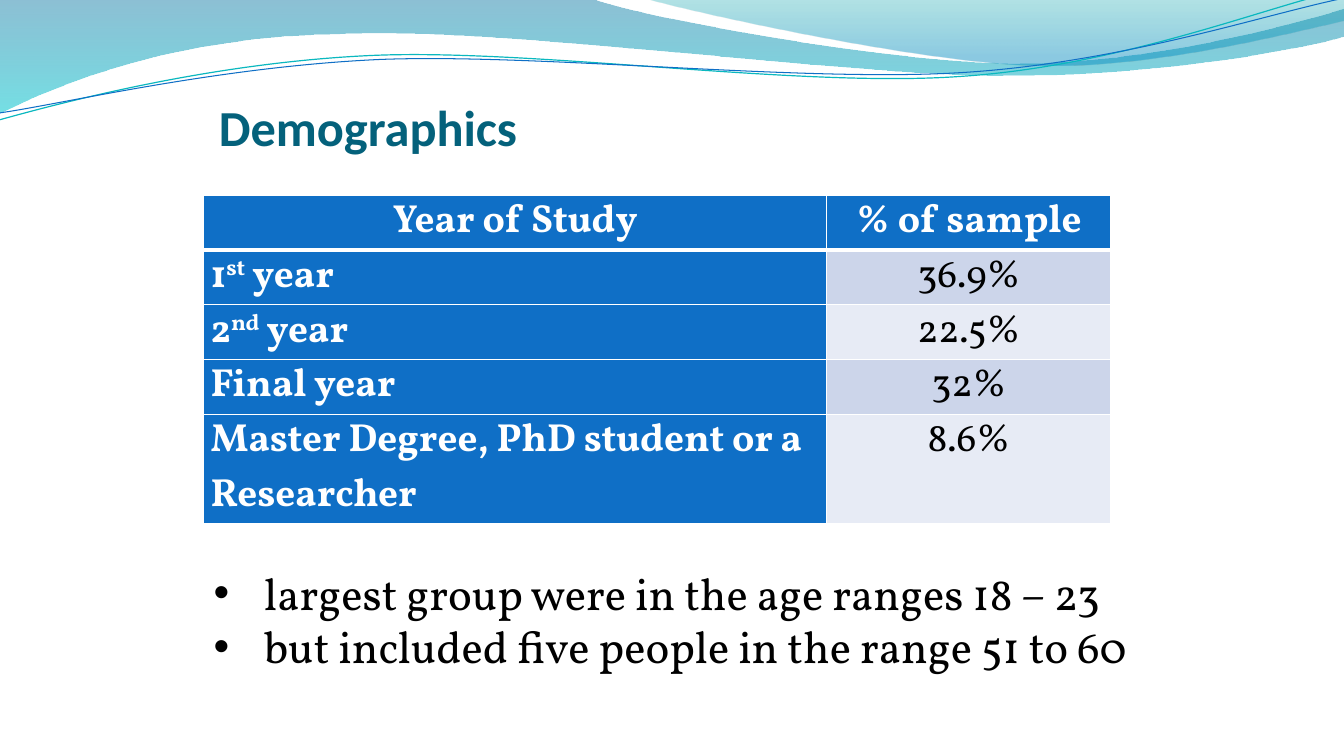
from lxml.etree import SubElement
from pptx import Presentation
from pptx.dml.color import RGBColor as RGB
from pptx.enum.text import MSO_ANCHOR as Anchor, MSO_AUTO_SIZE as Auto
from pptx.enum.text import PP_ALIGN as Align
from pptx.oxml import parse_xml as to_xml
from pptx.oxml.ns import qn
from pptx.util import Inches, Pt

# Grid: one-inch columns and rows
COLS, ROWS = 13.33, 7.5
WIDE, HIGH = Inches(COLS), Inches(ROWS)
NS = "http://schemas.openxmlformats.org/drawingml/2006/main"

INK = {
    "blue": "0F6FC6", "teal": "0AB8BF", "title": "04617B",
    "white": "FFFFFF", "black": "000000",
    "band": "CCD5EA", "pale": "E7EBF5",
    "sea": "0074A1", "cyan": "00C6CF", "green": "00A1A9", "sky": "008BBF",
}

HEAD = {"name": "Calibri", "size": Pt(36), "bold": True}
BOLD = {"name": "Vollkorn", "size": Pt(28), "bold": True}
CELL = {"name": "Vollkorn", "size": Pt(28), "bold": False}
BODY = {"name": "Vollkorn", "size": Pt(32), "bold": False}

# Waves: (start, segments, gradient stops); one point is straight, three bend
WAVES = [
    ((0, 0), [
        [(5.87, -0.01)],
        [(6.34, 0.17), (8.85, 0.63), (10.11, 0.63)],
        [(11.38, 0.63), (12.78, 0.26), (13.33, 0.09)],
        [(13.35, 0.36)],
        [(13.11, 0.44), (11.6, 0.76), (9.94, 0.75)],
        [(8.29, 0.75), (5.09, 0.28), (3.43, 0.34)],
        [(1.72, 0.36), (0.61, 0.83), (-0.01, 1.13)],
        [(0, 0)],
    ], [(0, "sea", 45), (1, "cyan", 55)]),
    ((6.39, -0.01), [
        [(6.79, 0.11), (9.09, 0.62), (10.25, 0.65)],
        [(11.41, 0.69), (12.82, 0.32), (13.33, 0.21)],
        [(13.33, 0)],
        [(6.39, -0.01)],
    ], [(0, "green", 30), (0.8, "sky", 45)]),
]

# Thin lines: (start, segments, colour, width)
LINES = [
    ((-0.01, 1.19), [
        [(0.64, 1.01), (2.11, 0.62), (3.69, 0.55)],
        [(5.27, 0.48), (7.9, 0.87), (9.5, 0.76)],
        [(11.1, 0.66), (12.52, 0.08), (13.31, -0.1)],
    ], "teal", 0.85),
    ((0, 1.12), [
        [(0.63, 1.03), (2.18, 0.66), (3.78, 0.59)],
        [(5.37, 0.53), (7.96, 0.82), (9.55, 0.72)],
        [(11.15, 0.62), (12.55, 0.14), (13.34, -0.02)],
    ], "blue", 0.75),
]

# Each label is a list of (text, raised) runs
TABLE = [
    ([("Year of Study", 0)], "% of sample"),
    ([("1", 0), ("st", 1), (" year", 0)], "36.9%"),
    ([("2", 0), ("nd", 1), (" year", 0)], "22.5%"),
    ([("Final year", 0)], "32%"),
    ([("Master Degree, PhD student or a Researcher", 0)], "8.6%"),
]
NOTES = [
    "largest group were in the age ranges 18 – 23",
    "but included five people in the range 51 to 60",
]


def tint(key):
    return RGB.from_string(INK[key])


def at(x, y):
    return round(WIDE * x / COLS), round(HIGH * y / ROWS)


def box(x, y, w, h):
    return *at(x, y), *at(w, h)


def put(obj, form):
    for key, val in form.items():
        setattr(obj, key, val)


def write(para, text, form, ink, up=False):
    run = para.add_run()
    run.text = text
    put(run.font, form)
    run.font.color.rgb = tint(ink)
    if up:
        run.font._element.set("baseline", "30000")


def trace(slide, start, segs, close):
    """Outline whose three-point segments become cubic curves."""
    pen = slide.shapes.build_freeform(*at(*start), scale=1.0)
    pen.add_line_segments([at(*dot) for seg in segs for dot in seg], close)
    shape = pen.convert_to_shape()
    shape.shadow.inherit = False
    steps = iter(shape._element.spPr.findall(".//" + qn("a:lnTo")))
    for seg in segs:
        first, *rest = [next(steps) for _ in seg]
        if rest:
            first.tag = qn("a:cubicBezTo")
        for step in rest:
            first.append(step[0])
            step.getparent().remove(step)
    return shape


def wave(slide, start, segs, stops):
    shape = trace(slide, start, segs, True)
    shape.line.fill.background()
    shape.fill.gradient()
    shape.fill.gradient_angle = 270
    for stop, (pos, ink, _) in zip(shape.fill.gradient_stops, stops):
        stop.position = pos
        stop.color.rgb = tint(ink)
    tags = shape._element.spPr.findall(".//" + qn("a:srgbClr"))
    for tag, (*_, part) in zip(tags, stops):
        SubElement(tag, qn("a:alpha")).set("val", str(part * 1000))


def line(slide, start, segs, ink, size):
    shape = trace(slide, start, segs, False)
    shape.fill.background()
    shape.line.color.rgb = tint(ink)
    shape.line.width = Pt(size)


def edge(cell, sizes):
    props = cell._tc.get_or_add_tcPr()
    for n, (side, size) in enumerate(sizes.items()):
        props.insert(n, to_xml(
            f'<a:ln{side} xmlns:a="{NS}" w="{Pt(size)}"><a:solidFill>'
            f'<a:srgbClr val="{INK["white"]}"/></a:solidFill></a:ln{side}>'))


def fill(cell, runs, form, ink, back, align, sizes):
    put(cell, {"margin_left": Inches(0.07), "margin_right": Inches(0.07),
               "margin_top": 0, "margin_bottom": 0})
    cell.fill.solid()
    cell.fill.fore_color.rgb = tint(back)
    para = cell.text_frame.paragraphs[0]
    para.alignment = align
    for text, up in runs:
        write(para, text, form, ink, up)
    edge(cell, sizes)


def table(slide, spot, cols, rows):
    grid = slide.shapes.add_table(len(TABLE), len(cols), *box(*spot)).table
    for col, wide in zip(grid.columns, cols):
        col.width = at(wide, 0)[0]
    for n, (label, share) in enumerate(TABLE):
        grid.rows[n].height = at(0, rows[n])[1]
        top = n == 0
        sizes = {"L": 1, "R": 1, "T": 3 if n == 1 else 1,
                 "B": 3 if top else 1}
        fill(grid.cell(n, 0), label, BOLD, "white", "blue",
             Align.CENTER if top else Align.LEFT, sizes)
        look = ((BOLD, "white", "blue") if top
                else (CELL, "black", "band" if n % 2 else "pale"))
        fill(grid.cell(n, 1), [(share, 0)], *look, Align.CENTER, sizes)


def title(slide, spot, text):
    frame = slide.shapes.add_textbox(*box(*spot)).text_frame
    put(frame, {"word_wrap": True, "vertical_anchor": Anchor.BOTTOM,
                "margin_left": 0, "margin_right": 0, "margin_bottom": 0})
    write(frame.paragraphs[0], text, HEAD, "title")


def bullets(slide, spot, items):
    frame = slide.shapes.add_textbox(*box(*spot)).text_frame
    put(frame, {"word_wrap": True, "auto_size": Auto.SHAPE_TO_FIT_TEXT})
    for n, text in enumerate(items):
        para = frame.add_paragraph() if n else frame.paragraphs[0]
        props = para._p.get_or_add_pPr()
        props.set("marL", str(Inches(0.5)))
        props.set("indent", str(-Inches(0.5)))
        SubElement(props, qn("a:buFont")).set("typeface", "Arial")
        SubElement(props, qn("a:buChar")).set("char", "•")
        write(para, text, BODY, "black")


def main():
    deck = Presentation()
    put(deck, {"slide_width": WIDE, "slide_height": HIGH})
    slide = deck.slides.add_slide(deck.slide_layouts[6])
    # Header decoration
    for item in WAVES:
        wave(slide, *item)
    for item in LINES:
        line(slide, *item)
    # Content
    table(slide, (2.02, 1.94, 9, 3.24), (6.18, 2.82), [0.54] * 4 + [1.08])
    bullets(slide, (2.02, 5.56, 9.34, 1.18), NOTES)
    title(slide, (2.17, 0.77, 9, 0.78), "Demographics")
    deck.save("out.pptx")


if __name__ == "__main__":
    main()
